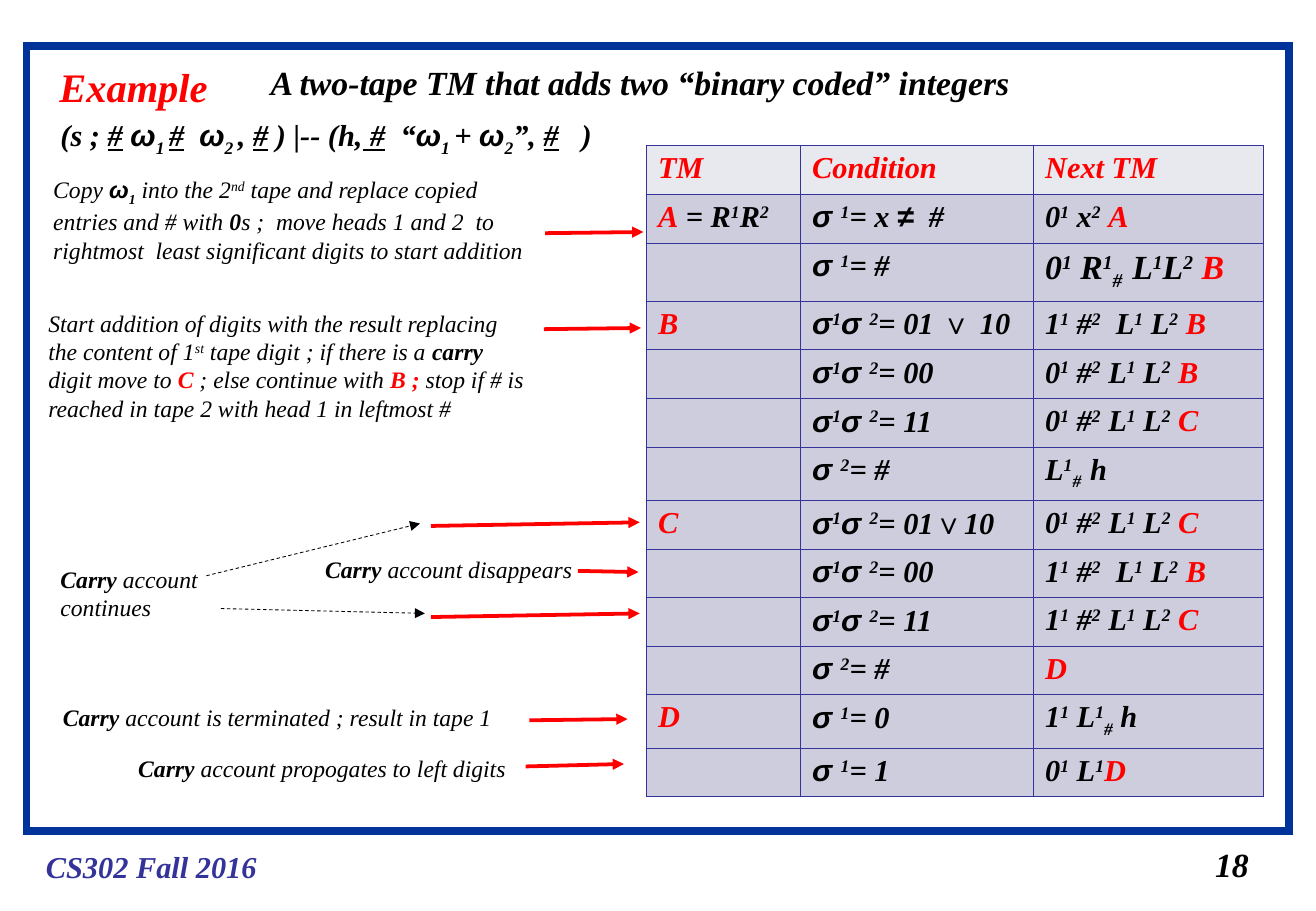
from dataclasses import dataclass

from lxml import etree
from pptx import Presentation
from pptx.dml.color import RGBColor
from pptx.enum.dml import MSO_LINE
from pptx.enum.shapes import MSO_CONNECTOR, MSO_SHAPE
from pptx.enum.text import MSO_AUTO_SIZE
from pptx.oxml.ns import qn
from pptx.util import Inches, Pt

STRAIGHT = MSO_CONNECTOR.STRAIGHT
RECTANGLE = MSO_SHAPE.RECTANGLE
DASH = MSO_LINE.DASH
FIT_SHAPE = MSO_AUTO_SIZE.SHAPE_TO_FIT_TEXT

COLORS = {
    "black": "000000",
    "red": "FF0000",
    "frame": "003399",
    "indigo": "333399",
    "header": "E8E8EF",
    "body": "CDCDDE",
}
SERIF, SANS = "Times New Roman", "Arial"
BASELINES = {"^": "30000", "_": "-25000"}
MARKS = "^_*~`@%"


@dataclass
class Label:
    left: float
    top: float
    width: float
    height: float
    text: str
    size: int = 14
    bold: bool = False
    color: str = "black"
    wrap: bool = False


@dataclass
class Arrow:
    start: tuple[float, float]
    end: tuple[float, float]
    color: str = "red"
    width: float = 2.25
    dashed: bool = False


LABELS = [
    Label(0.28, 6.93, 2.4, 0.4, "CS302 Fall 2016", 18, True, "indigo", wrap=True),
    Label(9.91, 6.9, 0.48, 0.44, "18", 20, True),
    Label(0.39, 0.46, 1.42, 0.5, "Example", 24, True, "red"),
    Label(2.13, 0.46, 6.31, 0.44, "A two-tape TM that adds two “binary coded” integers", 20, True),
    Label(0.4, 0.91, 4.64, 0.44,
          "(s ; `#` @ω@_1 _`#`  @ω@_2 _, `#` ) |-- (h,` #`  “@ω@_1 _+ @ω@_2_”, `#`   )",
          18, True, wrap=True),
    Label(0.34, 1.39, 4.25, 0.84,
          "Copy *@ω@_1_* into the 2^nd^ tape and replace copied entries and # with *0*s ;  "
          "move heads 1 and 2  to rightmost  least significant digits to start addition", wrap=True),
    Label(0.3, 2.49, 4.13, 1.04,
          "Start addition of digits with the result replacing the content of 1^st^ tape digit ; "
          "if there is a *carry* digit move to *~C~* ; else continue with *~B ; ~*"
          "stop if # is reached in tape 2 with head 1 in leftmost #", wrap=True),
    Label(2.58, 4.52, 2.3, 0.34, "*Carry* account disappears", wrap=True),
    Label(0.4, 4.6, 1.36, 0.57, "*Carry* account continues", wrap=True),
    Label(1.04, 6.16, 3.24, 0.34, "*Carry* account propogates to left digits"),
    Label(0.42, 5.74, 3.74, 0.34, "*Carry* account is terminated ; result in tape 1"),
]

ARROWS = [
    Arrow((4.49, 1.92), (5.3, 1.91)),
    Arrow((4.48, 2.71), (5.28, 2.7)),
    Arrow((4.76, 4.7), (5.26, 4.71)),
    Arrow((3.55, 4.33), (5.27, 4.3)),
    Arrow((3.55, 5.08), (5.27, 5.05)),
    Arrow((4.33, 6.31), (5.14, 6.29)),
    Arrow((4.36, 5.93), (5.17, 5.92)),
    Arrow((1.7, 4.74), (3.46, 4.31), "black", 0.5, True),
    Arrow((1.82, 5.01), (3.5, 5.05), "black", 0.5, True),
]

PAIR = "@σ@^1^@σ @^2^= "
MOVES = " #^2^ L^1^ L^2^ "
WIDE_MOVES = " #^2^  L^1^ L^2^ "
COLUMN_WIDTHS = [1.27, 1.92, 1.9]
ROW_HEIGHT = 0.4
TALL_ROWS = {2: 0.48, 6: 0.44, 11: 0.44}
LARGE_CELL = (2, 2)
ROWS = [
    ("~TM~", "~Condition~", "~Next TM~"),
    ("~A~ = R^1^R^2^", "@σ @^1^= x @≠@  #", "0^1^ x^2^ ~A~"),
    ("", "@σ @^1^= #", "0^1^ R^1^_#  _L^1^L^2^ ~B~"),
    ("~B~", PAIR + "01 @*%∨ %*@10", "1^1^" + WIDE_MOVES + "~B~"),
    ("", PAIR + "00", "0^1^" + MOVES + "~B~"),
    ("", PAIR + "11", "0^1^" + MOVES + "~C~"),
    ("", "@σ @^2^= #", "L^1^_#  _h"),
    ("~C~", PAIR + "01@*%∨%*@10", "0^1^" + MOVES + "~C~"),
    ("", PAIR + "00", "1^1^" + WIDE_MOVES + "~B~"),
    ("", PAIR + "11", "1^1^" + MOVES + "~C~"),
    ("", "@σ @^2^= #", "~D~"),
    ("~D~", "@σ @^1^= 0", "1^1^ L^1^_#_ h"),
    ("", "@σ @^1^= 1", "0^1^ L^1^~D~"),
]


def rgb(name: str) -> RGBColor:
    return RGBColor.from_string(COLORS[name])


def add_span(para, text: str, active: set[str], bold: bool) -> None:
    span = para.add_run()
    span.text = text
    if "*" in active:
        span.font.bold = not bold
    if "~" in active:
        span.font.color.rgb = rgb("red")
    if "`" in active:
        span.font.underline = True
    if "@" in active:
        span.font.name = SANS
    if "%" in active:
        span.font.italic = False
    for mark, baseline in BASELINES.items():
        if mark in active:
            span._r.get_or_add_rPr().set("baseline", baseline)


def write(para, text: str, size: int, bold: bool, color: str = "black") -> None:
    font = para.font
    font.name, font.size = SERIF, Pt(size)
    font.bold, font.italic = bold, True
    font.color.rgb = rgb(color)
    active: set[str] = set()
    pending = ""
    for letter in text:
        if letter not in MARKS:
            pending += letter
            continue
        if pending:
            add_span(para, pending, active, bold)
            pending = ""
        active ^= {letter}
    if pending:
        add_span(para, pending, active, bold)


def add_label(page, label: Label) -> None:
    box = page.shapes.add_textbox(*map(Inches, (label.left, label.top, label.width, label.height)))
    frame = box.text_frame
    frame.word_wrap = label.wrap
    frame.auto_size = FIT_SHAPE
    write(frame.paragraphs[0], label.text, label.size, label.bold, label.color)


def add_arrow(page, arrow: Arrow) -> None:
    connector = page.shapes.add_connector(STRAIGHT, *map(Inches, arrow.start + arrow.end))
    connector.line.color.rgb = rgb(arrow.color)
    connector.line.width = Pt(arrow.width)
    if arrow.dashed:
        connector.line.dash_style = DASH
    etree.SubElement(connector.line._get_or_add_ln(), qn("a:tailEnd"), type="triangle")
    etree.SubElement(connector._element.spPr, qn("a:effectLst"))


def add_borders(cell) -> None:
    properties = cell._tc.get_or_add_tcPr()
    for side in ("lnL", "lnR", "lnT", "lnB"):
        border = etree.SubElement(properties, qn(f"a:{side}"), w=str(int(Pt(0.45))))
        fill = etree.SubElement(border, qn("a:solidFill"))
        etree.SubElement(fill, qn("a:srgbClr"), val=COLORS["indigo"])


def add_transitions(page) -> None:
    heights = [TALL_ROWS.get(index, ROW_HEIGHT) for index in range(len(ROWS))]
    table = page.shapes.add_table(
        len(ROWS), len(COLUMN_WIDTHS), Inches(5.32), Inches(1.2),
        Inches(sum(COLUMN_WIDTHS)), Inches(sum(heights))).table
    table.first_row = table.horz_banding = False
    for column, width in zip(table.columns, COLUMN_WIDTHS):
        column.width = Inches(width)
    for row_index, (row, texts) in enumerate(zip(table.rows, ROWS)):
        row.height = Inches(heights[row_index])
        for column_index, (cell, text) in enumerate(zip(row.cells, texts)):
            add_borders(cell)
            cell.fill.solid()
            cell.fill.fore_color.rgb = rgb("body" if row_index else "header")
            size = 20 if (row_index, column_index) == LARGE_CELL else 18
            write(cell.text_frame.paragraphs[0], text, size, True)


def main() -> None:
    deck = Presentation()
    deck.slide_width, deck.slide_height = Inches(10.84), Inches(7.5)
    page = deck.slides.add_slide(deck.slide_layouts[6])
    border = page.shapes.add_shape(RECTANGLE, *map(Inches, (0.22, 0.38, 10.4, 6.46)))
    border.shadow.inherit = False
    border.fill.background()
    border.line.color.rgb = rgb("frame")
    border.line.width = Pt(4.5)
    etree.SubElement(border.line._get_or_add_ln(), qn("a:miter"), lim="800000")
    add_transitions(page)
    for label in LABELS:
        add_label(page, label)
    for arrow in ARROWS:
        add_arrow(page, arrow)
    deck.save("out.pptx")


if __name__ == "__main__":
    main()
